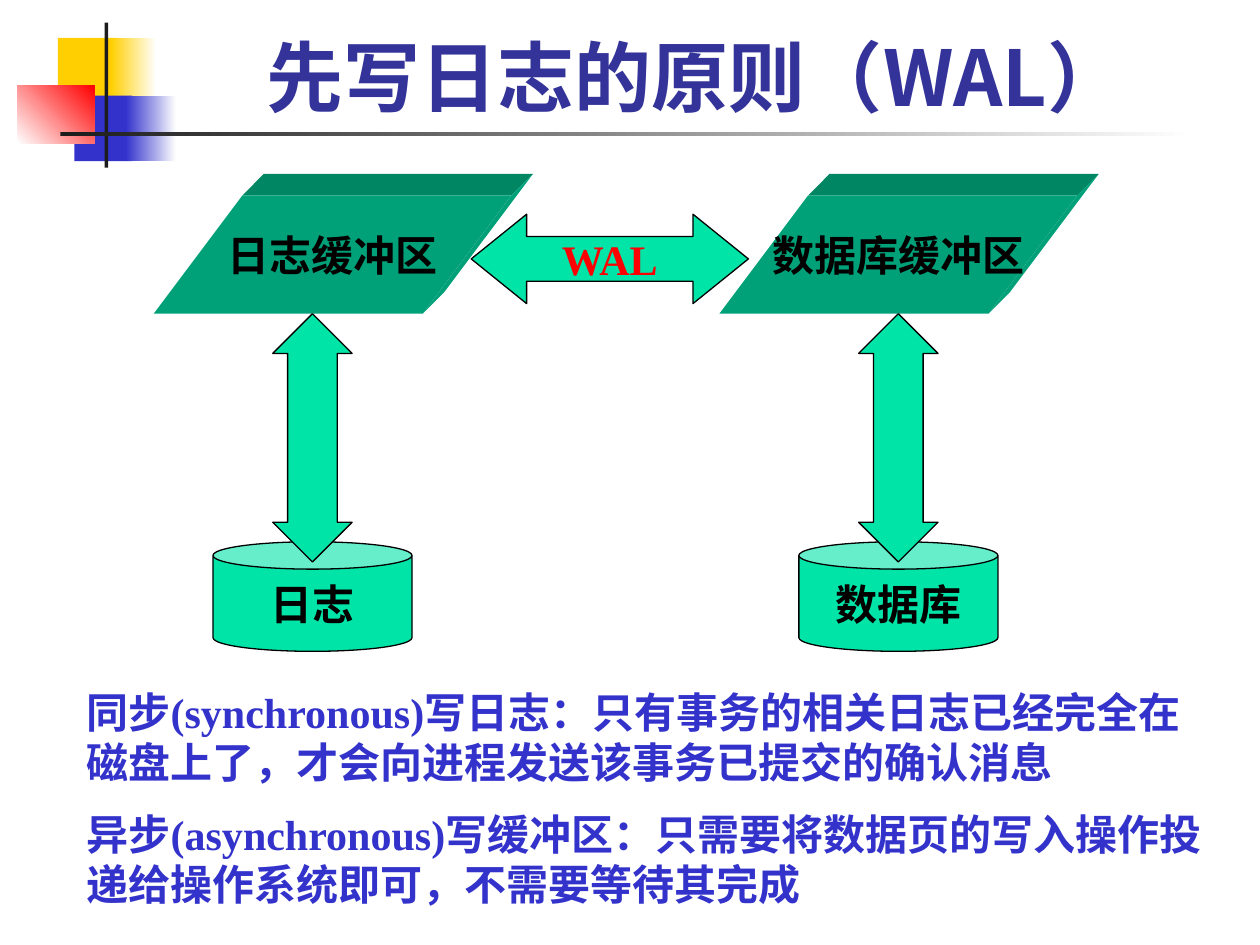
from lxml import etree
from pptx import Presentation
from pptx.dml.color import RGBColor
from pptx.enum.shapes import MSO_SHAPE
from pptx.enum.text import MSO_ANCHOR, PP_ALIGN
from pptx.oxml.ns import qn
from pptx.util import Inches, Pt

RECT = MSO_SHAPE.RECTANGLE
SLANT = MSO_SHAPE.PARALLELOGRAM
CAN = MSO_SHAPE.CAN
UP_DOWN = MSO_SHAPE.UP_DOWN_ARROW
LEFT_RIGHT = MSO_SHAPE.LEFT_RIGHT_ARROW
MIDDLE, BOTTOM = MSO_ANCHOR.MIDDLE, MSO_ANCHOR.BOTTOM
CENTER, LEFT = PP_ALIGN.CENTER, PP_ALIGN.LEFT

WHITE = RGBColor(0xFF, 0xFF, 0xFF)
BLACK = RGBColor(0, 0, 0)
INK = RGBColor(0x1C, 0x1C, 0x1C)
GOLD = RGBColor(0xFF, 0xCF, 0x01)
BLUE = RGBColor(0x33, 0x33, 0xCC)
NAVY = RGBColor(0x33, 0x33, 0x99)
RED = RGBColor(0xFF, 0, 0)
GREEN = RGBColor(0, 0xE4, 0xA8)
FRONT = RGBColor(0, 0xA0, 0x78)
SHADE = RGBColor(0, 0x86, 0x63)

SERIF, SANS, HAN = "Times New Roman", "Lato", "Noto Sans CJK SC"
LABEL = {"size": Pt(24), "name": SERIF, "bold": True}
HEAD = {"size": Pt(44), "bold": True}

DECOR = [
    ((0.46, 0.3, 0.48, 0.52), [GOLD], 0),
    ((0.88, 0.3, 0.36, 0.52), [GOLD, WHITE], 0),
    ((0.59, 0.76, 0.46, 0.52), [BLUE], 0),
    ((1, 0.76, 0.4, 0.52), [BLUE, WHITE], 0),
    ((0.14, 0.68, 0.61, 0.46), [WHITE, RED], 45),
    ((0.83, 0.18, 0.03, 1.15), [INK], 0),
    ((0.48, 1.05, 9, 0.03), [INK, WHITE], 0),
]
NOTES = [
    "同步(synchronous)写日志：只有事务的相关日志已经完全在磁盘上了，才会向进程发送该事务已提交的确认消息",
    "异步(asynchronous)写缓冲区：只需要将数据页的写入操作投递给操作系统即可，不需要等待其完成",
]
BUFFERS = [(1.22, "日志缓冲区"), (5.71, "数据库缓冲区")]
STORES = [(1.69, "日志"), (6.34, "数据库")]
BUF_TOP, BUF_W, BUF_H, SKEW, DEPTH = 1.55, 2.84, 0.94, 0.75, 0.17
CAN_W, ARROW_W = 1.58, 0.63


def inches(box):
    return [Inches(n) for n in box]


def add_run(para, text, form, color):
    run = para.add_run()
    run.text = text
    for key, value in form.items():
        setattr(run.font, key, value)
    run.font.color.rgb = color
    # East Asian glyphs take their own typeface
    east = etree.SubElement(run.font._element, qn("a:ea"))
    east.set("typeface", HAN)


def paint(shape, color, line=None):
    shape.shadow.inherit = False
    shape.fill.solid()
    shape.fill.fore_color.rgb = color
    if line is None:
        shape.line.fill.background()
    else:
        shape.line.color.rgb = line
        shape.line.width = Pt(0.75)


def add_decor(slide, box, colors, angle):
    shape = slide.shapes.add_shape(RECT, *inches(box))
    paint(shape, colors[0])
    if len(colors) > 1:
        shape.fill.gradient()
        shape.fill.gradient_angle = angle
        for pos, (stop, color) in enumerate(zip(shape.fill.gradient_stops, colors)):
            stop.position = pos
            stop.color.rgb = color


def add_node(slide, kind, box, adjust, text="", ink=BLACK, fill=GREEN, line=BLACK):
    """Add a preset shape with a centred label."""
    shape = slide.shapes.add_shape(kind, *inches(box))
    for i, value in enumerate(adjust):
        shape.adjustments[i] = value
    paint(shape, fill, line)
    if text:
        frame = shape.text_frame
        frame.word_wrap = False
        frame.vertical_anchor = MIDDLE
        frame.paragraphs[0].alignment = CENTER
        add_run(frame.paragraphs[0], text, LABEL, ink)


def add_face(slide, points, color):
    start, *rest = [inches(point) for point in points]
    path = slide.shapes.build_freeform(*start)
    path.add_line_segments(rest)
    paint(path.convert_to_shape(), color)


def add_buffer(slide, left, text):
    """Add a slanted block with its top and right faces."""
    right, low = left + BUF_W, BUF_TOP + BUF_H
    slant = SKEW * BUF_H
    edge = [(left + slant, BUF_TOP), (right, BUF_TOP), (right - slant, low)]
    back = [(x + DEPTH, y - DEPTH) for x, y in edge]
    add_face(slide, [edge[0], back[0], back[1], edge[1]], SHADE)
    add_face(slide, [edge[1], back[1], back[2], edge[2]], FRONT)
    add_node(slide, SLANT, (left, BUF_TOP, BUF_W, BUF_H), [SKEW], text,
             fill=FRONT, line=None)


def add_text(slide, box, paras, align, anchor=None, before=None):
    """Add a text box; each paragraph is a list of (text, form, color)."""
    frame = slide.shapes.add_textbox(*inches(box)).text_frame
    frame.word_wrap = True
    if anchor is not None:
        frame.vertical_anchor = anchor
    for i, runs in enumerate(paras):
        para = frame.add_paragraph() if i else frame.paragraphs[0]
        para.alignment = align
        para.space_before = before
        for run in runs:
            add_run(para, *run)


def main():
    deck = Presentation()
    deck.slide_width, deck.slide_height = Inches(10), Inches(7.5)
    slide = deck.slides.add_slide(deck.slide_layouts[6])

    for box, colors, angle in DECOR:
        add_decor(slide, box, colors, angle)
    title = [("先写日志的原则", {**HEAD, "name": SANS}, NAVY),
             ("（WAL）", {**HEAD, "name": HAN}, NAVY)]
    add_text(slide, (1.26, 0.18, 8.52, 0.84), [title], CENTER, BOTTOM)

    for left, text in BUFFERS:
        add_buffer(slide, left, text)
    for left, text in STORES:
        add_node(slide, CAN, (left, 4.3, CAN_W, 0.87), [0.25], text)
        mid = left + (CAN_W - ARROW_W) / 2
        add_node(slide, UP_DOWN, (mid, 2.49, ARROW_W, 1.97), [0.5, 0.625])
    add_node(slide, LEFT_RIGHT, (3.74, 1.7, 2.2, 0.71), [0.5, 0.62], "WAL", RED)

    notes = [[(text, LABEL, BLUE)] for text in NOTES]
    add_text(slide, (0.59, 5.4, 9.06, 1.9), notes, LEFT, before=Pt(12))
    deck.save("out.pptx")


if __name__ == "__main__":
    main()
